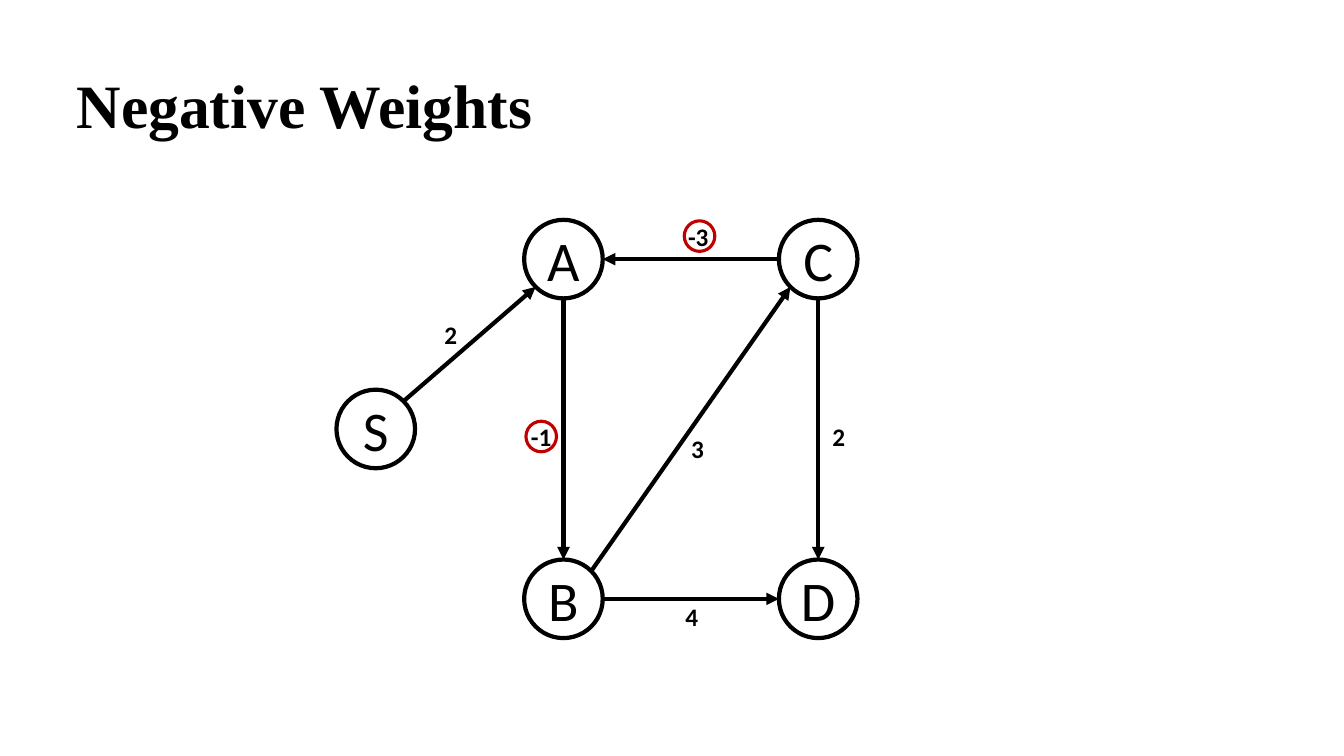
"""Build a slide showing a directed graph with negative edge weights."""
from math import sqrt

from lxml.etree import SubElement
from pptx import Presentation
from pptx.dml.color import RGBColor
from pptx.enum.shapes import MSO_CONNECTOR, MSO_SHAPE
from pptx.enum.text import MSO_ANCHOR, PP_ALIGN
from pptx.oxml.ns import qn
from pptx.util import Cm, Pt

BLACK = RGBColor(0x00, 0x00, 0x00)
RED = RGBColor(0xC0, 0x00, 0x00)

TITLE = ("Negative Weights", 1.68, 1.57, 23.85, 2.13)
LEFT_X, RIGHT_X, TOP_Y, BOTTOM_Y = 14.2, 20.62, 6.53, 15.09
NODES = {
    "S": (9.47, (TOP_Y + BOTTOM_Y) / 2),
    "A": (LEFT_X, TOP_Y),
    "B": (LEFT_X, BOTTOM_Y),
    "C": (RIGHT_X, TOP_Y),
    "D": (RIGHT_X, BOTTOM_Y),
}
NODE_SIZE = 1.98
RING_SIZE = 0.77
RING_CENTERS = [(17.63, 5.95), (13.64, 11.0)]
WEIGHT_HEIGHT = 1.02

# start, end, weight, label left, label top, label width
EDGES = [
    ("S", "A", "2", 10.95, 7.92, 0.89),
    ("A", "B", "-1", 13.13, 10.49, 1.07),
    ("C", "A", "-3", 17.09, 5.46, 1.14),
    ("B", "C", "3", 17.17, 10.8, 0.79),
    ("C", "D", "2", 20.73, 10.49, 0.79),
    ("B", "D", "4", 17.02, 15.04, 0.79),
]


def add_text(slide, text, left, top, width, height, size, font_name):
    box = slide.shapes.add_textbox(Cm(left), Cm(top), Cm(width), Cm(height))
    box.text_frame.word_wrap = True
    write(box.text_frame.paragraphs[0], text, size, font_name, True)


def write(paragraph, text, size, font_name="Calibri", bold=False):
    paragraph.text = text
    paragraph.font.size = Pt(size)
    paragraph.font.name = font_name
    paragraph.font.bold = bold
    paragraph.font.color.rgb = BLACK


def add_circle(slide, center, size, color, line_width):
    left, top = (value - size / 2 for value in center)
    circle = slide.shapes.add_shape(
        MSO_SHAPE.OVAL, Cm(left), Cm(top), Cm(size), Cm(size))
    circle.shadow.inherit = False
    circle.fill.background()
    circle.line.color.rgb = color
    circle.line.width = Pt(line_width)
    return circle


def add_node(slide, name, center):
    frame = add_circle(slide, center, NODE_SIZE, BLACK, 3).text_frame
    frame.vertical_anchor = MSO_ANCHOR.MIDDLE
    paragraph = frame.paragraphs[0]
    paragraph.alignment = PP_ALIGN.CENTER
    write(paragraph, name, 40)


def direction(start, end):
    """Return the unit vector to the nearest of the eight circle sites."""
    signs = [(b > a) - (b < a) for a, b in zip(start, end)]
    length = sqrt(sum(sign * sign for sign in signs))
    return [sign / length for sign in signs]


def add_arrow(slide, start, end):
    unit = direction(start, end)
    radius = NODE_SIZE / 2
    begin = [Cm(a + radius * u) for a, u in zip(start, unit)]
    finish = [Cm(b - radius * u) for b, u in zip(end, unit)]
    arrow = slide.shapes.add_connector(MSO_CONNECTOR.STRAIGHT, *begin, *finish)
    arrow.line.color.rgb = BLACK
    arrow.line.width = Pt(3)
    SubElement(arrow.line._get_or_add_ln(), qn("a:tailEnd"), type="triangle")
    SubElement(arrow._element.spPr, qn("a:effectLst"))


def main():
    presentation = Presentation()
    presentation.slide_width, presentation.slide_height = Cm(33.87), Cm(19.05)
    slide = presentation.slides.add_slide(presentation.slide_layouts[6])
    add_text(slide, *TITLE, 44, "Times New Roman")
    for name, center in NODES.items():
        add_node(slide, name, center)
    for start, end, weight, left, top, width in EDGES:
        add_arrow(slide, NODES[start], NODES[end])
        add_text(slide, weight, left, top, width, WEIGHT_HEIGHT, 18, "Calibri")
    for center in RING_CENTERS:
        add_circle(slide, center, RING_SIZE, RED, 2.25)
    presentation.save("out.pptx")


if __name__ == "__main__":
    main()
